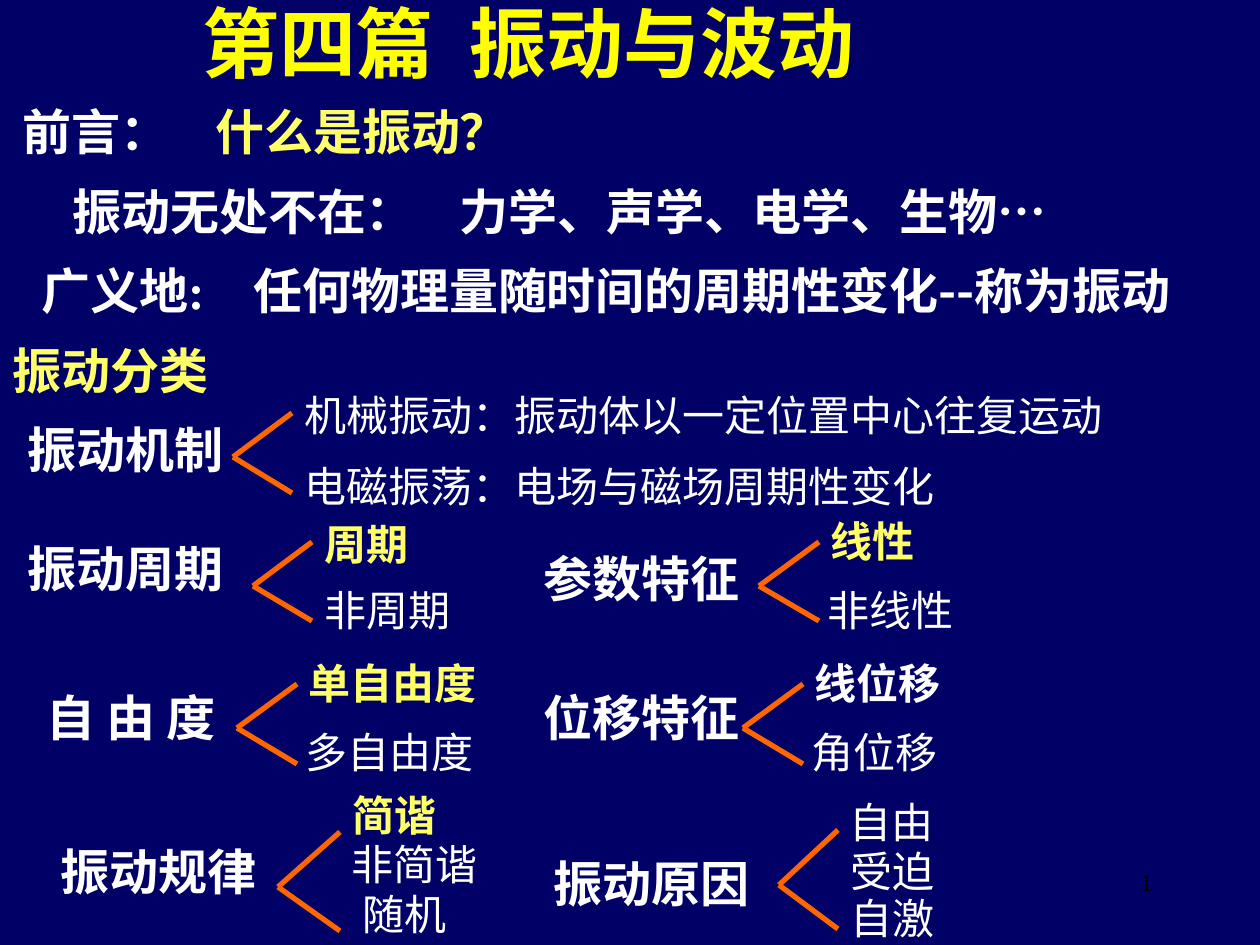
import pptx
import pptx.dml.color
import pptx.enum.shapes
import pptx.enum.text
import pptx.oxml
import pptx.oxml.ns
import pptx.util

EMU_PER_PX = 914400 // 126
NAVY, YELLOW, PALE, WHITE, ORANGE, BLACK = (
    "000066", "FFFF00", "FFFF66", "FFFFFF", "FF6600", "000000")
SERIF, SANS = "Times New Roman", "Noto Sans CJK SC"


def px(length):
    return pptx.util.Emu(length * EMU_PER_PX)


def rgb(value):
    return pptx.dml.color.RGBColor.from_string(value)


def add_xml(parent, tag, **attributes):
    child = pptx.oxml.parse_xml(f"<{tag} {pptx.oxml.ns.nsdecls('a')}/>")
    for name, value in attributes.items():
        child.set(name, str(value))
    parent.append(child)
    return child


class SlideBuilder:
    label_size, leaf_size = 28, 24
    label_height, leaf_height = 72, 63

    def __init__(self, deck):
        self.slide = deck.slides.add_slide(deck.slide_layouts[5])
        self.slide.background.fill.solid()
        self.slide.background.fill.fore_color.rgb = rgb(NAVY)

    def style(self, run, size, color, bold, font):
        run.font.size = pptx.util.Pt(size)
        run.font.bold = bold
        run.font.name = font
        run.font.color.rgb = rgb(color)
        add_xml(run.font._element, "a:ea", typeface=SANS)

    def fill_box(self, box, text, size, color, bold, wrap, tab=None, fonts=(SERIF, SERIF)):
        """Write text, with one font on each side of an optional tab."""
        frame = box.text_frame
        frame.word_wrap = wrap
        frame.auto_size = pptx.enum.text.MSO_AUTO_SIZE.SHAPE_TO_FIT_TEXT
        frame.vertical_anchor = pptx.enum.text.MSO_ANCHOR.TOP
        para = frame.paragraphs[0]
        para.alignment = pptx.enum.text.PP_ALIGN.LEFT
        if tab:
            stops = add_xml(para._p.get_or_add_pPr(), "a:tabLst")
            add_xml(stops, "a:tab", pos=px(tab), algn="l")
        before, separator, after = text.partition("\t")
        for part, font in zip((before + separator, after), fonts):
            if part:
                run = para.add_run()
                run.text = part
                self.style(run, size, color, bold, font)

    def title(self, text, left, top, width, height, tab):
        box = self.slide.shapes.title
        box.left, box.top, box.width, box.height = map(px, (left, top, width, height))
        self.fill_box(box, text, 44, YELLOW, True, True, tab, (SANS, SANS))

    def heading(self, text, left, top, width, color=WHITE, **options):
        box = self.slide.shapes.add_textbox(px(left), px(top), px(width), px(self.label_height))
        self.fill_box(box, text, self.label_size, color, True, True, **options)

    def leaf(self, text, left, top, width, color=WHITE, bold=False):
        box = self.slide.shapes.add_textbox(px(left), px(top), px(width), px(self.leaf_height))
        self.fill_box(box, text, self.leaf_size, color, bold, False)

    def fork(self, tip_x, tip_y, end_x, upper_y, lower_y):
        for end_y in (upper_y, lower_y):
            prong = self.slide.shapes.add_connector(
                pptx.enum.shapes.MSO_CONNECTOR.STRAIGHT,
                px(tip_x), px(tip_y), px(end_x), px(end_y))
            prong.line.color.rgb = rgb(ORANGE)
            prong.line.width = pptx.util.Pt(3)
            add_xml(prong._element.spPr, "a:effectLst")

    def page_number(self, left, top, width, height):
        box = self.slide.shapes.add_textbox(px(left), px(top), px(width), px(height))
        para = box.text_frame.paragraphs[0]
        para.alignment = pptx.enum.text.PP_ALIGN.RIGHT
        field = pptx.oxml.parse_xml(
            f'<a:fld {pptx.oxml.ns.nsdecls("a")} type="slidenum" '
            'id="{B6F15528-21DE-4FAA-801E-634DDDAF4B2B}">'
            f'<a:rPr sz="1400"><a:solidFill><a:srgbClr val="{BLACK}"/></a:solidFill>'
            f'<a:latin typeface="{SERIF}"/></a:rPr><a:t>1</a:t></a:fld>')
        para._p.append(field)


# Each class: heading, fork, then its leaves (text, left, top, width, colour, bold).
CLASSES = [
    (("振动机制", 15, 413, 253), (233, 457, 292, 413, 493), [
        ("机械振动：振动体以一定位置中心往复运动", 292, 383, 826),
        ("电磁振荡：电场与磁场周期性变化", 292, 454, 657)]),
    (("振动周期", 15, 532, 253), (253, 586, 312, 542, 621), [
        ("周期", 312, 512, 112, PALE, True),
        ("非周期", 312, 578, 154)]),
    (("参数特征", 531, 542, 253), (759, 586, 819, 542, 621), [
        ("线性", 818, 509, 112, PALE, True),
        ("非线性", 815, 578, 154)]),
    (("自 由 度", 34, 681, 208), (237, 728, 297, 684, 764), [
        ("单自由度", 296, 651, 196, PALE, True),
        ("多自由度", 293, 720, 196)]),
    (("位移特征", 531, 681, 238), (743, 728, 803, 684, 764), [
        ("线位移", 802, 651, 154, WHITE, True),
        ("角位移", 799, 720, 154)]),
    (("振动规律", 48, 835, 266), (278, 887, 340, 832, 931), [
        ("简谐", 340, 783, 112, PALE, True),
        ("非简谐", 339, 832, 154),
        ("随机", 350, 882, 112)]),
    (("振动原因", 541, 847, 253), (779, 885, 838, 830, 929), [
        ("自由", 837, 790, 112),
        ("受迫", 838, 839, 112),
        ("自激", 838, 886, 112)]),
]


def main():
    deck = pptx.Presentation()
    deck.slide_width, deck.slide_height = px(1260), px(945)
    page = SlideBuilder(deck)
    page.title("第四篇\t振动与波动", 190, -11, 718, 106, tab=267)
    page.heading("前言：", 10, 95, 182)
    page.heading("什么是振动？", 203, 95, 344, PALE)
    page.heading("振动无处不在：\t力学、声学、电学、生物…", 60, 175, 1016, tab=387)
    page.heading("广义地:\t任何物理量随时间的周期性变化--称为振动", 29, 254, 1200,
                 tab=212, fonts=(SERIF, SANS))
    page.heading("振动分类", 0, 334, 344, PALE)
    for heading, fork, leaves in CLASSES:
        page.heading(*heading)
        page.fork(*fork)
        for leaf in leaves:
            page.leaf(*leaf)
    page.page_number(903, 861, 262, 40)
    deck.save("out.pptx")


if __name__ == "__main__":
    main()
